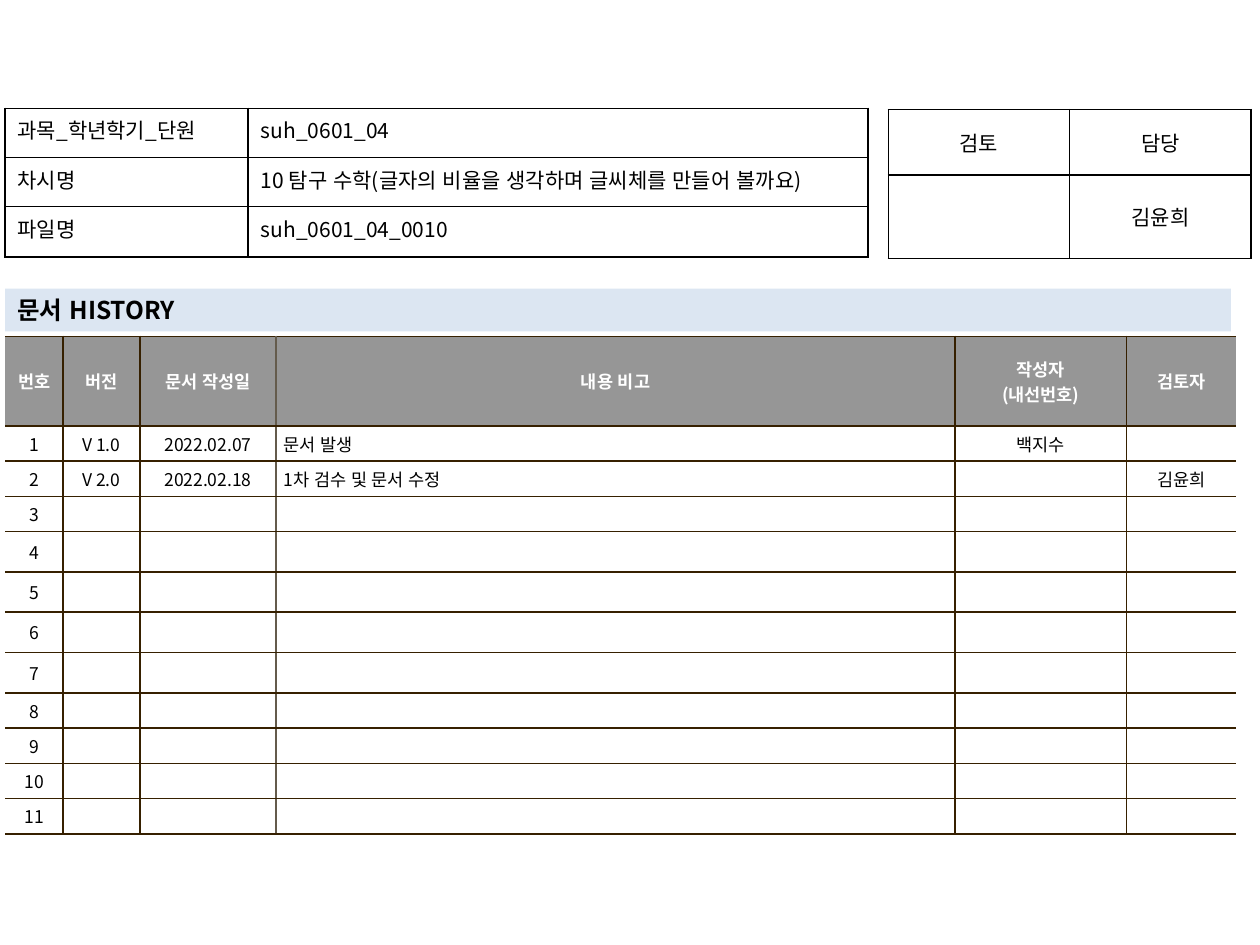
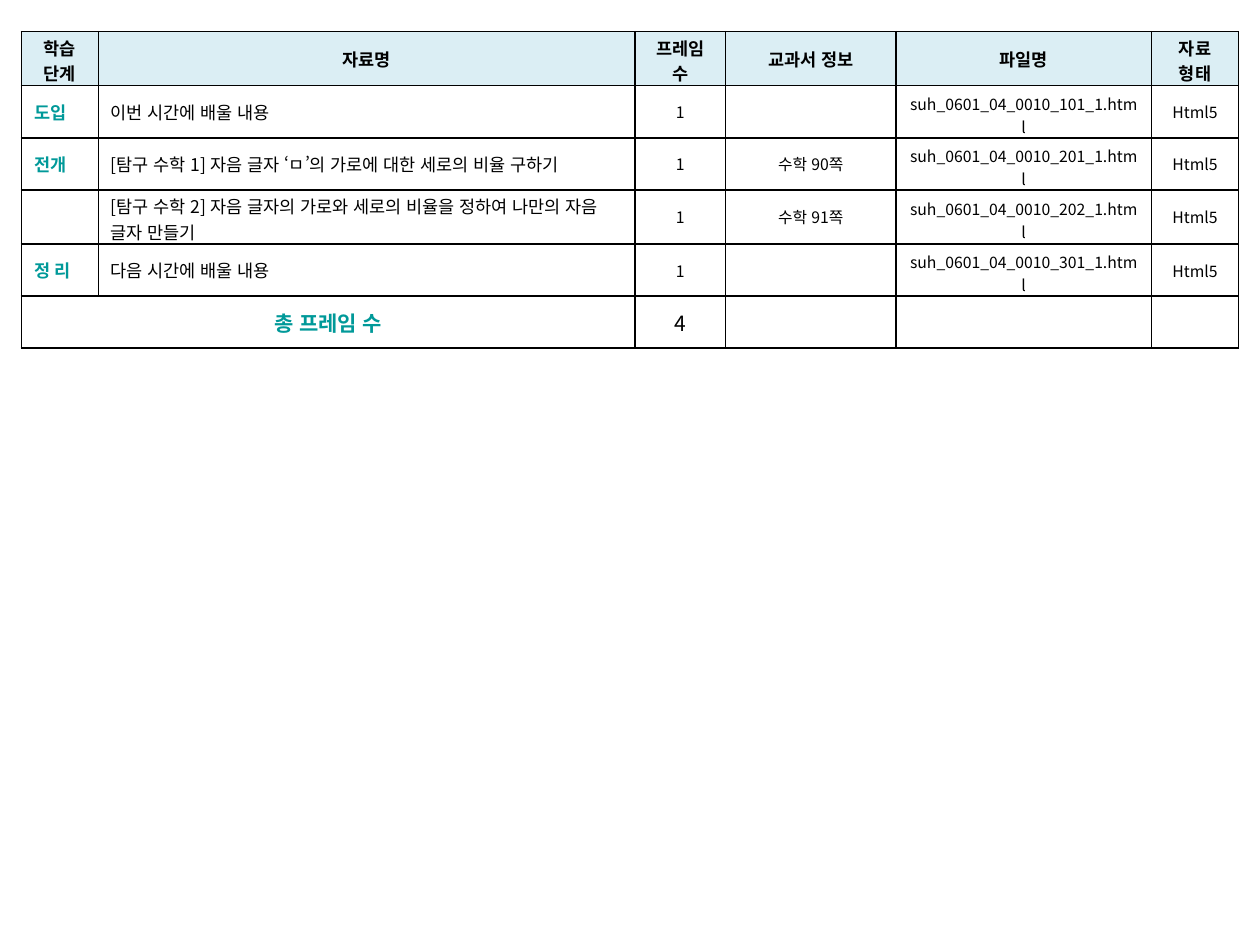
from dataclasses import dataclass

from lxml.etree import SubElement
from pptx import Presentation
from pptx.dml.color import RGBColor
from pptx.enum.lang import MSO_LANGUAGE_ID as Language
from pptx.enum.shapes import MSO_SHAPE as Preset
from pptx.enum.text import MSO_ANCHOR as Anchor, PP_ALIGN as Align
from pptx.oxml.ns import qn
from pptx.util import Inches, Pt


@dataclass(frozen=True)
class Theme:
    font: str = "Noto Sans CJK KR"
    black: str = "000000"
    white: str = "FFFFFF"
    teal: str = "009999"
    heading_band: str = "DCE6F2"
    history_header: str = "969696"
    history_line: str = "362000"
    remark_line: str = "645B4C"
    frame_header: str = "DBEEF4"
    title_size: int = 14
    large_size: int = 12
    body_size: int = 10
    small_size: int = 9


THEME = Theme()

HEADING = "문서 HISTORY"

DOCUMENT_ROWS = [
    ("과목_학년학기_단원", "suh_0601_04"),
    ("차시명", "10 탐구 수학(글자의 비율을 생각하며 글씨체를 만들어 볼까요)"),
    ("파일명", "suh_0601_04_0010"),
]

REVIEW_ROWS = [("검토", "담당"), ("", "김윤희")]

HISTORY_HEADER = ("번호", "버전", "문서 작성일", "내용 비고", "작성자\n(내선번호)", "검토자")
HISTORY_ENTRIES = [
    ("V 1.0", "2022.02.07", "문서 발생", "백지수", ""),
    ("V 2.0", "2022.02.18", "1차 검수 및 문서 수정", "", "김윤희"),
]
HISTORY_LENGTH = 11
TALL_HISTORY_ROWS = range(4, 8)

FRAME_HEADER = ("학습 단계", "자료명", "프레임 수", "교과서 정보", "파일명", "자료\n형태")
FRAMES = [
    ("도입", "이번 시간에 배울 내용", "", "101"),
    ("전개", "[탐구 수학 1] 자음 글자 ‘ㅁ’의 가로에 대한 세로의 비율 구하기", "수학 90쪽", "201"),
    ("", "[탐구 수학 2] 자음 글자의 가로와 세로의 비율을 정하여 나만의 자음 글자 만들기", "수학 91쪽", "202"),
    ("정 리", "다음 시간에 배울 내용", "", "301"),
]
FRAME_ROW_HEIGHTS = (0.43, 0.41, 0.41, 0.43, 0.41, 0.41)
TOTAL_LABEL = "총 프레임 수"

DEFAULT_FORMAT = {
    "size": THEME.body_size,
    "color": THEME.black,
    "bold": False,
    "align": Align.CENTER,
    "anchor": Anchor.MIDDLE,
    "fill": None,
    "insets": (0.1, 0.05, 0.05),
}


def write_text(frame, text, style):
    for index, line in enumerate(text.split("\n")):
        paragraph = frame.paragraphs[0] if index == 0 else frame.add_paragraph()
        paragraph.alignment = style["align"]
        if not line:
            SubElement(paragraph._p, qn("a:endParaRPr"), sz=str(style["size"] * 100))
            continue
        run = paragraph.add_run()
        run.text = line
        values = {
            "name": THEME.font,
            "size": Pt(style["size"]),
            "bold": style["bold"],
            "language_id": Language.KOREAN,
        }
        for name, value in values.items():
            setattr(run.font, name, value)
        run.font.color.rgb = RGBColor.from_string(style["color"])
        properties = run._r.get_or_add_rPr()
        properties.set("kern", "0")
        SubElement(properties, qn("a:ea"), typeface=THEME.font)


def paint(fill, color):
    if color:
        fill.solid()
        fill.fore_color.rgb = RGBColor.from_string(color)
    else:
        fill.background()


def draw_borders(cell, colors):
    properties = cell._tc.get_or_add_tcPr()
    for index, (side, color) in enumerate(zip("LRTB", colors)):
        line = SubElement(properties, qn(f"a:ln{side}"), w=str(Pt(1)))
        if color:
            SubElement(SubElement(line, qn("a:solidFill")), qn("a:srgbClr"), val=color)
        else:
            SubElement(line, qn("a:noFill"))
        properties.insert(index, line)


def black_borders(column):
    return (THEME.black,) * 4


def history_borders(column):
    line = THEME.history_line
    edges = [None, line, line, THEME.remark_line, line, line, None]
    return edges[column], edges[column + 1], line, line


def add_grid(slide, place, widths, heights, rows, style_of, borders_of=black_borders):
    left, top = place
    frame = slide.shapes.add_table(
        len(rows), len(widths), Inches(left), Inches(top),
        Inches(sum(widths)), Inches(sum(heights)),
    )
    table = frame.table
    table.first_row = table.horz_banding = False
    for column, width in zip(table.columns, widths):
        column.width = Inches(width)
    for row, height in zip(table.rows, heights):
        row.height = Inches(height)
    for row_index, row in enumerate(rows):
        for column_index, text in enumerate(row):
            cell = table.cell(row_index, column_index)
            style = DEFAULT_FORMAT | style_of(row_index, column_index)
            side, above, below = map(Inches, style["insets"])
            values = {
                "margin_left": side, "margin_right": side,
                "margin_top": above, "margin_bottom": below,
                "vertical_anchor": style["anchor"],
            }
            for name, value in values.items():
                setattr(cell, name, value)
            write_text(cell.text_frame, text, style)
            paint(cell.fill, style["fill"])
            draw_borders(cell, borders_of(column_index))
    return table


def history_style(row, column):
    style = {"insets": (0.06, 0.04, 0.04), "fill": THEME.white}
    if row == 0:
        return style | {"fill": THEME.history_header, "color": THEME.white, "bold": True}
    return style | {"align": Align.LEFT if column == 3 else Align.CENTER}


def review_style(row, column):
    return {"size": THEME.large_size}


def document_style(row, column):
    align = Align.JUSTIFY if column == 0 else Align.LEFT
    return {"size": THEME.large_size, "align": align, "anchor": Anchor.TOP}


def frame_style(row, column):
    tight = {"insets": (0.1, 0.03, 0)}
    if row == 0:
        two_lines = tight if column in (0, 2, 5) else {}
        return two_lines | {"bold": True, "fill": THEME.frame_header}
    if row > len(FRAMES):
        label = {"color": THEME.teal, "bold": True} if column == 0 else {}
        return label | {"size": THEME.large_size}
    if column == 0:
        return {"color": THEME.teal, "bold": True, "align": Align.JUSTIFY}
    if column == 1:
        return (tight if row == 3 else {}) | {"align": Align.LEFT}
    if column == 4:
        return {"size": THEME.small_size, "insets": (0.1, 0.05, 0)}
    return {"size": THEME.small_size}


def add_heading(slide):
    band = slide.shapes.add_shape(
        Preset.RECTANGLE, Inches(0.04), Inches(2.29), Inches(9.73), Inches(0.34)
    )
    band.shadow.inherit = False
    paint(band.fill, THEME.heading_band)
    band.line.fill.background()
    values = {"word_wrap": True, "vertical_anchor": Anchor.MIDDLE, "margin_top": 0, "margin_bottom": 0}
    for name, value in values.items():
        setattr(band.text_frame, name, value)
    style = {"size": THEME.title_size, "bold": True, "align": Align.LEFT}
    write_text(band.text_frame, HEADING, DEFAULT_FORMAT | style)


def build_history_slide(slide):
    rows = [HISTORY_HEADER]
    for number in range(1, HISTORY_LENGTH + 1):
        entry = HISTORY_ENTRIES[number - 1] if number <= len(HISTORY_ENTRIES) else ("",) * 5
        rows.append((str(number), *entry))
    heights = [0.71] + [
        0.32 if number in TALL_HISTORY_ROWS else 0.28 for number in range(1, HISTORY_LENGTH + 1)
    ]
    widths = (0.46, 0.61, 1.08, 5.39, 1.36, 0.87)
    add_grid(slide, (0.04, 2.67), widths, heights, rows, history_style, history_borders)
    add_grid(slide, (7.05, 0.87), (1.44, 1.44), (0.52, 0.66), REVIEW_ROWS, review_style)
    add_heading(slide)
    add_grid(slide, (0.04, 0.86), (1.93, 4.92), (0.39, 0.39, 0.4), DOCUMENT_ROWS, document_style)


def build_frame_slide(slide):
    rows = [FRAME_HEADER]
    for stage, title, page, number in FRAMES:
        rows.append((stage, title, "1", page, f"suh_0601_04_0010_{number}_1.html", "Html5"))
    rows.append((TOTAL_LABEL, "", str(len(FRAMES)), "", "", ""))
    widths = (0.61, 4.26, 0.72, 1.35, 2.03, 0.69)
    table = add_grid(slide, (0.17, 0.25), widths, FRAME_ROW_HEIGHTS, rows, frame_style)
    total = len(rows) - 1
    table.cell(total, 0).merge(table.cell(total, 1))


def main():
    presentation = Presentation()
    presentation.slide_width, presentation.slide_height = Inches(10), Inches(7.5)
    for build in (build_history_slide, build_frame_slide):
        build(presentation.slides.add_slide(presentation.slide_layouts[6]))
    presentation.save("out.pptx")


if __name__ == "__main__":
    main()
